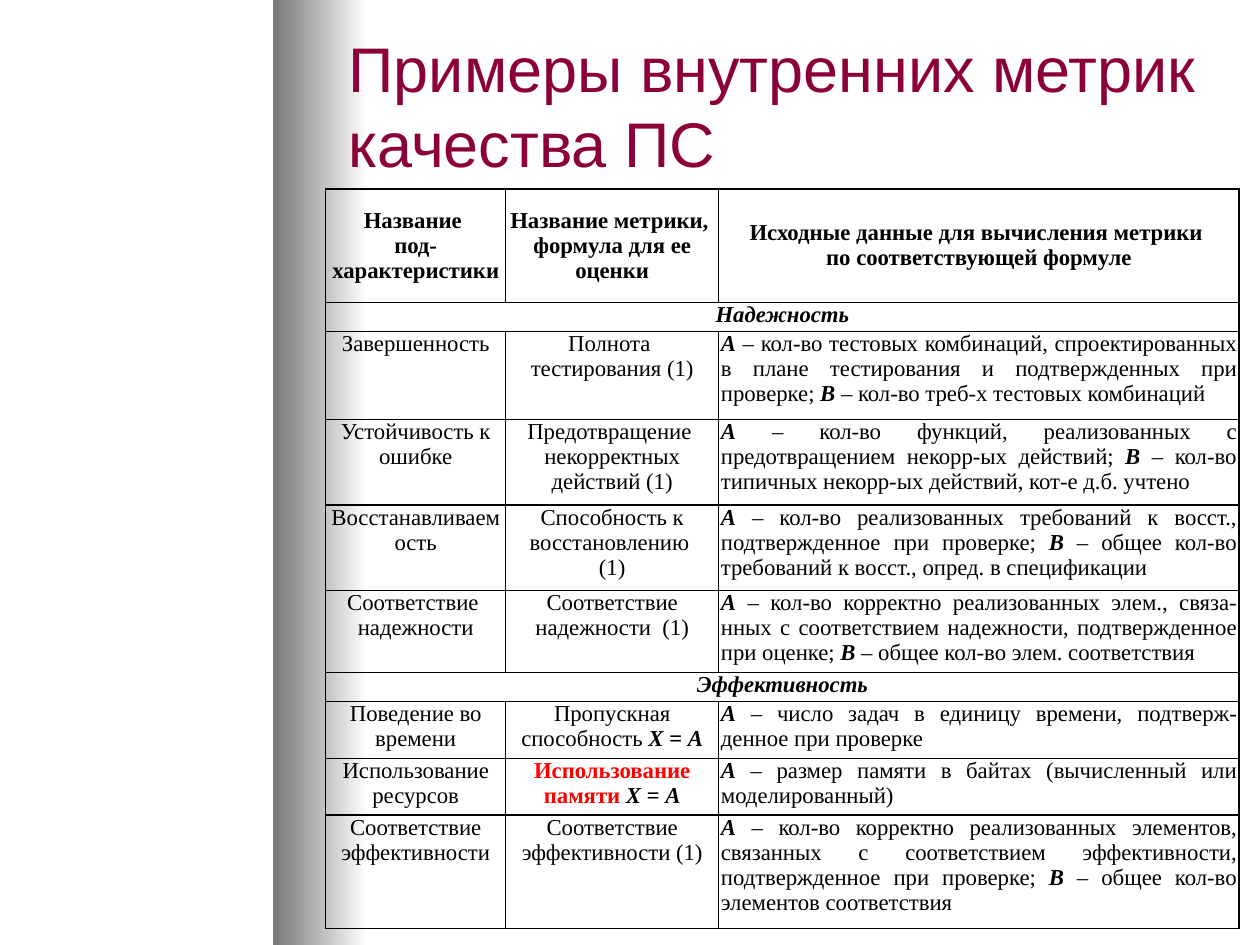
from lxml.etree import SubElement
from pptx import Presentation
from pptx.dml.color import RGBColor
from pptx.enum.shapes import MSO_SHAPE as Shape
from pptx.enum.text import MSO_ANCHOR as Anchor, MSO_AUTO_SIZE as AutoSize, PP_ALIGN as Align
from pptx.oxml import parse_xml
from pptx.oxml.ns import nsdecls, qn
from pptx.util import Pt

COLORS = {"white": "FFFFFF", "shade": "777777", "title": "8C0039",
          "text": "000000", "accent": "FF0000", "border": "000000"}
COLUMN_WIDTHS = [103, 121.6, 297.4]
ROW_HEIGHTS = [64.8, 16.6, 50.4, 48.8, 48.8, 47, 16.6, 32.4, 32.4, 64.8]
PARAGRAPH_MARK, STRONG_MARK, RED_MARK = "¶", "*", "!"
HEADER = ["Название \nпод-¶характеристики",
          "Название метрики, \nформула для ее оценки",
          "Исходные данные для вычисления метрики \nпо соответствующей формуле"]
BODY = [
    ["Надежность"],
    ["Завершенность", "Полнота \nтестирования (1)",
     "*А* – кол-во тестовых комбинаций, спроектированных в плане тестирования и "
     "подтвержденных при проверке; *В* – кол-во треб-х тестовых комбинаций"],
    ["Устойчивость к ошибке", "Предотвращение \nнекорректных действий (1)",
     "*А* – кол-во функций, реализованных c предотвращением некорр-ых действий; "
     "*В* – кол-во типичных некорр-ых действий, кот-е д.б. учтено"],
    ["Восстанавливаемость", "Способность к восстановлению \n(1)",
     "*А* – кол-во реализованных требований к восст., подтвержденное при проверке; "
     "*В* – общее кол-во требований к восст., опред. в спецификации"],
    ["Соответствие \nнадежности", "Соответствие надежности  (1)",
     "*А* – кол-во корректно реализованных элем., связа-нных с соответствием надежности, "
     "подтвержденное при оценке; *В* – общее кол-во элем. соответствия"],
    ["Эффективность"],
    ["Поведение во времени", "Пропускная способность *Х = А*",
     "*А *– число задач в единицу времени, подтверж-денное при проверке"],
    ["Использование ресурсов", "!Использование памяти !*Х = А*",
     "*А *– размер памяти в байтах (вычисленный или моделированный)"],
    ["Соответствие эффективности", "Соответствие эффективности (1)",
     "*А* – кол-во корректно реализованных элементов, связанных с соответствием "
     "эффективности, подтвержденное при проверке; *В* – общее кол-во элементов соответствия"],
]


def color(name):
    return RGBColor.from_string(COLORS[name])


def add_side_shade(slide, left, top, width, height):
    shape = slide.shapes.add_shape(Shape.RECTANGLE, Pt(left), Pt(top), Pt(width), Pt(height))
    shape.shadow.inherit = False
    shape.line.fill.background()
    shape.fill.gradient()
    shape.fill.gradient_angle = 0
    for stop, name, position in zip(shape.fill.gradient_stops, ("shade", "white"), (0, 1)):
        stop.color.rgb = color(name)
        stop.position = position
    slide.shapes.title._element.addprevious(shape._element)


def place_title(slide, left, top, width, height):
    title = slide.shapes.title
    title.left, title.top, title.width, title.height = Pt(left), Pt(top), Pt(width), Pt(height)
    frame = title.text_frame
    frame.text = "Примеры внутренних метрик качества ПС"
    frame.auto_size = AutoSize.NONE
    frame.vertical_anchor = Anchor.MIDDLE
    paragraph = frame.paragraphs[0]
    paragraph.alignment = Align.LEFT
    paragraph.font.name = "Arial"
    paragraph.font.size = Pt(36)
    paragraph.font.color.rgb = color("title")


def add_runs(paragraph, text, bold, italic):
    for red_index, red_part in enumerate(text.split(RED_MARK)):
        for strong_index, part in enumerate(red_part.split(STRONG_MARK)):
            red, strong = red_index % 2 == 1, strong_index % 2 == 1
            for line_index, line in enumerate(part.split("\n")):
                if line_index:
                    paragraph.add_line_break()
                if not line:
                    continue
                run = paragraph.add_run()
                run.text = line
                run.font.name = "Times New Roman"
                run.font.size = Pt(13)
                run.font.bold = bold or strong or red
                run.font.italic = italic or strong
                run.font.color.rgb = color("accent" if red else "text")


def add_borders(cell):
    properties = cell._tc.get_or_add_tcPr()
    for index, side in enumerate(("lnL", "lnR", "lnT", "lnB")):
        line = parse_xml(f'<a:{side} {nsdecls("a")} w="{Pt(1)}"/>')
        fill = SubElement(line, qn("a:solidFill"))
        SubElement(fill, qn("a:srgbClr"), val=COLORS["border"])
        properties.insert(index, line)


def fill_cell(cell, text, alignment, bold=False, italic=False, spacing=0):
    frame = cell.text_frame
    for index, part in enumerate(text.split(PARAGRAPH_MARK)):
        paragraph = frame.add_paragraph() if index else frame.paragraphs[0]
        paragraph.alignment = alignment
        paragraph.space_before = paragraph.space_after = Pt(spacing)
        paragraph.font.name = "Times New Roman"
        paragraph.font.size = Pt(13)
        add_runs(paragraph, part, bold, italic)


def add_metrics_table(slide, left, top, width, height):
    rows = [HEADER] + BODY
    table = slide.shapes.add_table(len(rows), len(HEADER), Pt(left), Pt(top),
                                   Pt(width), Pt(height)).table
    table.first_row = table.horz_banding = False
    for column, column_width in zip(table.columns, COLUMN_WIDTHS):
        column.width = Pt(column_width)
    for row, row_height in zip(table.rows, ROW_HEIGHTS):
        row.height = Pt(row_height)
    for cell in table.iter_cells():
        cell.margin_left = cell.margin_right = Pt(1.4)
        cell.margin_top = cell.margin_bottom = 0
        add_borders(cell)
        cell.fill.background()
    for row_index, texts in enumerate(rows):
        if len(texts) == 1:
            section = table.cell(row_index, 0)
            section.merge(table.cell(row_index, len(HEADER) - 1))
            fill_cell(section, texts[0], Align.CENTER, bold=True, italic=True, spacing=3)
            continue
        is_header = row_index == 0
        for column_index, text in enumerate(texts):
            cell = table.cell(row_index, column_index)
            cell.vertical_anchor = Anchor.MIDDLE if is_header else Anchor.TOP
            justified = column_index == 2 and not is_header
            fill_cell(cell, text, Align.JUSTIFY if justified else Align.CENTER, bold=is_header)


def main():
    presentation = Presentation()
    presentation.slide_width, presentation.slide_height = Pt(720), Pt(540)
    slide = presentation.slides.add_slide(presentation.slide_layouts[5])
    slide.background.fill.solid()
    slide.background.fill.fore_color.rgb = color("white")
    add_side_shade(slide, 156, 0, 54, 540)
    place_title(slide, 192, 18, 504, 84)
    add_metrics_table(slide, 186, 108, sum(COLUMN_WIDTHS), sum(ROW_HEIGHTS))
    presentation.save("out.pptx")


if __name__ == "__main__":
    main()
